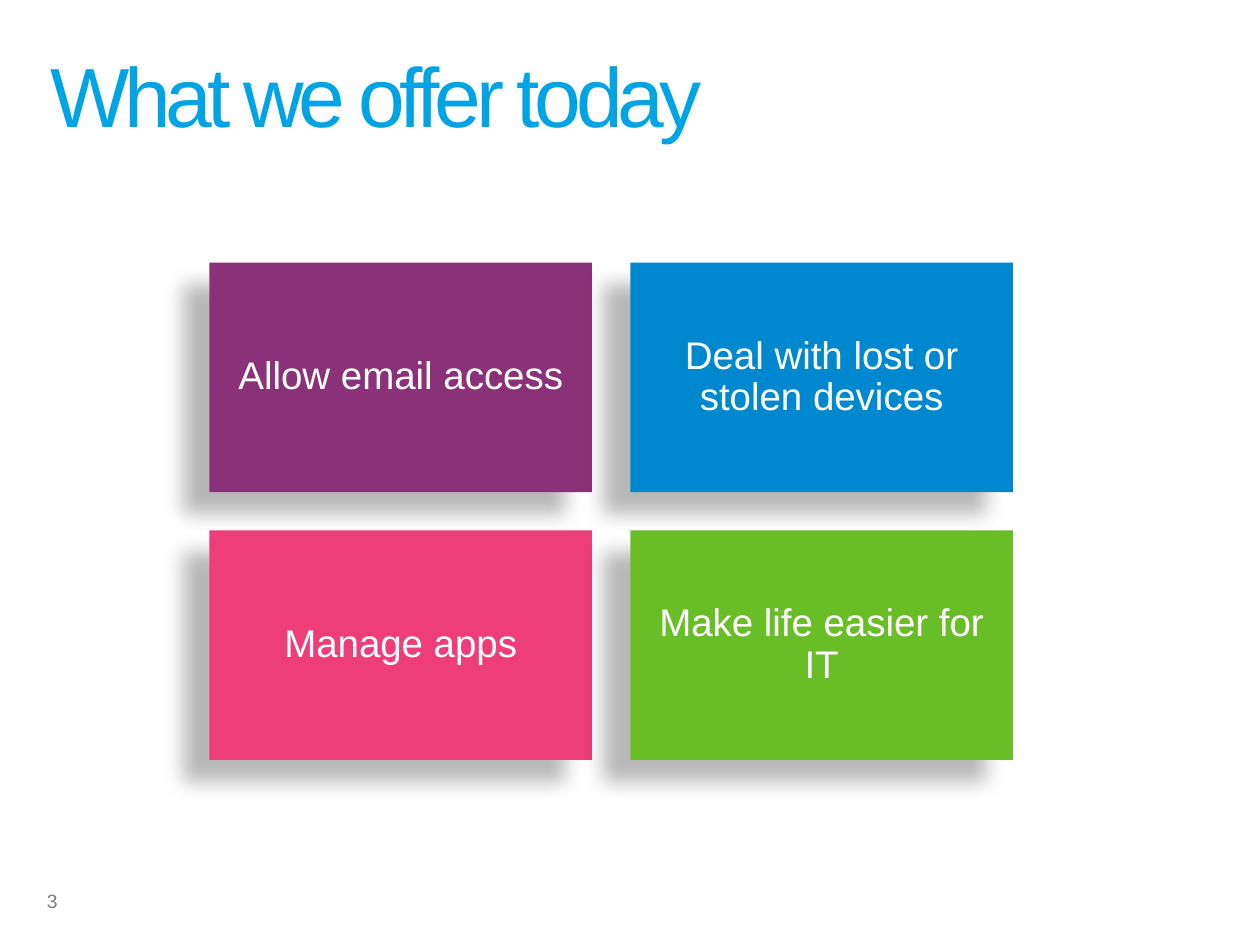
from typing import NamedTuple

from lxml.etree import SubElement
from pptx import Presentation
from pptx.dml.color import RGBColor
from pptx.enum.shapes import MSO_SHAPE
from pptx.enum.text import MSO_ANCHOR, MSO_AUTO_SIZE, PP_ALIGN
from pptx.oxml.ns import qn
from pptx.util import Pt

TITLE_BLUE = RGBColor(0x00, 0xA3, 0xE4)
NUMBER_GRAY = RGBColor(0x7D, 0x7D, 0x7D)
WHITE = RGBColor(0xFF, 0xFF, 0xFF)
BLACK = RGBColor(0x00, 0x00, 0x00)
PURPLE = RGBColor(0x8A, 0x32, 0x79)
BLUE = RGBColor(0x00, 0x88, 0xCE)
PINK = RGBColor(0xEE, 0x3E, 0x79)
GREEN = RGBColor(0x69, 0xBE, 0x28)

GRID_LEFT, GRID_TOP = 119.7, 150.1
TILE_WIDTH, TILE_HEIGHT, GAP = 218.6, 131.1, 21.9
COLUMNS = 2


class Offer(NamedTuple):
    label: str
    color: RGBColor


OFFERS = [
    Offer("Allow email access", PURPLE),
    Offer("Deal with lost or stolen devices", BLUE),
    Offer("Manage apps", PINK),
    Offer("Make life easier for IT", GREEN),
]


def set_text(frame, text: str, size: float, color: RGBColor, align: PP_ALIGN, line_spacing=None):
    """Fill the frame with one Arial paragraph and return its run."""
    paragraph = frame.paragraphs[0]
    paragraph.alignment = align
    paragraph.line_spacing = line_spacing
    run = paragraph.add_run()
    run.text = text
    run.font.name = "Arial"
    run.font.size = Pt(size)
    run.font.color.rgb = color
    return run


def cast_shadow(shape) -> None:
    """Add a soft shadow down to the left."""
    effects = SubElement(shape._element.spPr, qn("a:effectLst"))
    shadow = SubElement(effects, qn("a:outerShdw"), {
        "blurRad": str(Pt(11.8)), "dist": str(Pt(19.7)),
        "dir": str(141 * 60000), "algn": "ctr", "rotWithShape": "0",
    })
    shade = SubElement(shadow, qn("a:srgbClr"), val=str(BLACK))
    SubElement(shade, qn("a:alpha"), val="28000")


def add_tile(slide, offer: Offer, index: int) -> None:
    row, column = divmod(index, COLUMNS)
    tile = slide.shapes.add_shape(
        MSO_SHAPE.RECTANGLE,
        Pt(GRID_LEFT + column * (TILE_WIDTH + GAP)),
        Pt(GRID_TOP + row * (TILE_HEIGHT + GAP)),
        Pt(TILE_WIDTH), Pt(TILE_HEIGHT),
    )
    tile.fill.solid()
    tile.fill.fore_color.rgb = offer.color
    tile.line.fill.background()
    cast_shadow(tile)
    frame = tile.text_frame
    for side in ("left", "top", "right", "bottom"):
        setattr(frame, f"margin_{side}", Pt(6.6))
    frame.word_wrap = True
    frame.vertical_anchor = MSO_ANCHOR.MIDDLE
    set_text(frame, offer.label, 22, WHITE, PP_ALIGN.CENTER, 0.9)


def add_title(slide, text: str) -> None:
    title = slide.shapes.title
    place = {"left": 21.6, "top": 31, "width": 667.4, "height": 55.4}
    for name, value in place.items():
        setattr(title, name, Pt(value))
    frame = title.text_frame
    frame.vertical_anchor = MSO_ANCHOR.TOP
    frame.auto_size = MSO_AUTO_SIZE.SHAPE_TO_FIT_TEXT
    run = set_text(frame, text, 48, TITLE_BLUE, PP_ALIGN.LEFT, Pt(48))
    run.font._element.set("spc", "-300")


def add_slide_number(slide, number: str) -> None:
    box = slide.shapes.add_textbox(Pt(14.4), Pt(500.4), Pt(31), Pt(28.8))
    box.text_frame.word_wrap = True
    box.text_frame.vertical_anchor = MSO_ANCHOR.MIDDLE
    set_text(box.text_frame, number, 11, NUMBER_GRAY, PP_ALIGN.CENTER)


def main() -> None:
    deck = Presentation()
    deck.slide_width, deck.slide_height = Pt(720), Pt(540)
    slide = deck.slides.add_slide(deck.slide_layouts.get_by_name("Title Only"))
    add_title(slide, "What we offer today")
    add_slide_number(slide, "3")
    for index, offer in enumerate(OFFERS):
        add_tile(slide, offer, index)
    deck.save("out.pptx")


if __name__ == "__main__":
    main()
